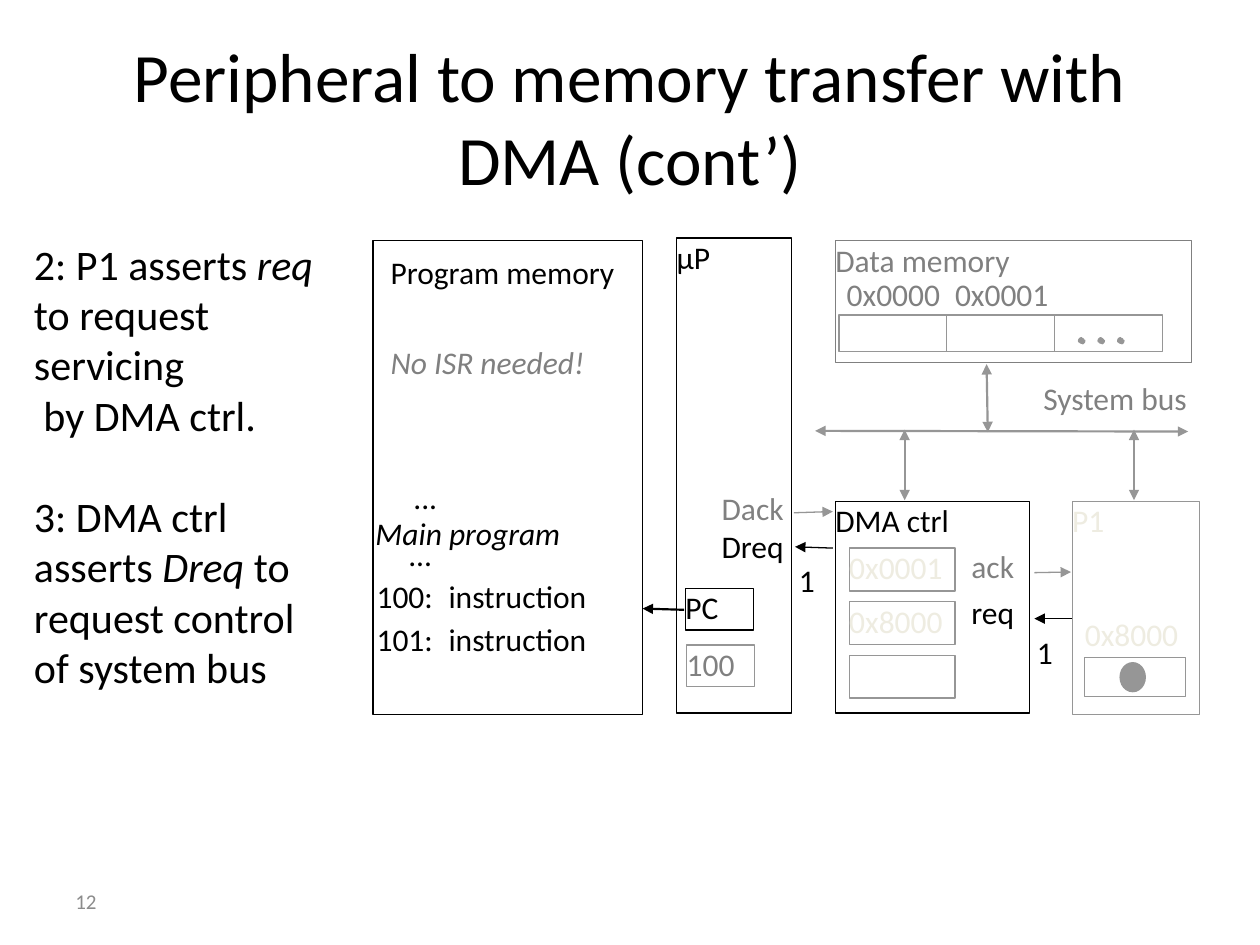
from typing import NamedTuple, Optional

from lxml.etree import SubElement
from pptx import Presentation
from pptx.dml.color import RGBColor
from pptx.enum.dml import MSO_LINE
from pptx.enum.shapes import MSO_CONNECTOR, MSO_SHAPE
from pptx.enum.text import MSO_ANCHOR as Anchor, PP_ALIGN as Align
from pptx.oxml.ns import qn
from pptx.util import Inches, Pt

COLS, ROWS = 100, 75  # grid cells across and down the slide
INK = {"black": "000000", "gray": "808080", "mid": "969696",
       "pale": "EEECE1", "page": "8C8C8C", "white": "FFFFFF"}

deck = Presentation()
deck.slide_width, deck.slide_height = Inches(10), Inches(7.5)
slide = deck.slides.add_slide(deck.slide_layouts[6])


class Box(NamedTuple):
    x: float
    y: float
    w: float
    h: float
    line: str = "mid"
    fill: Optional[str] = None
    text: str = ""
    ink: str = "gray"
    kind: MSO_SHAPE = MSO_SHAPE.RECTANGLE
    dash: bool = False


class Label(NamedTuple):
    x: float
    y: float
    w: float
    h: float
    text: str
    ink: str = "gray"
    align: Align = Align.LEFT
    slant: bool = False


class Arrow(NamedTuple):
    x1: float
    y1: float
    x2: float
    y2: float
    ink: str = "mid"
    width: float = 0.75
    both: bool = False


def col(n: float) -> int:
    return round(deck.slide_width * n / COLS)


def row(n: float) -> int:
    return round(deck.slide_height * n / ROWS)


def color(name: str) -> RGBColor:
    return RGBColor.from_string(INK[name])


def add_run(para, text: str, ink: str, size: float = 18, slant: bool = False) -> None:
    run = para.add_run()
    run.text = text
    font = run.font
    font.name, font.size, font.italic = "Calibri", Pt(size), slant
    font.color.rgb = color(ink)


def set_frame(frame, inset: float = 0, anchor: Anchor = Anchor.TOP):
    frame.word_wrap = True
    frame.vertical_anchor = anchor
    frame.margin_left = frame.margin_right = Inches(inset)
    frame.margin_top = frame.margin_bottom = Inches(inset / 2)
    return frame


def add_frame(x: float, y: float, w: float, h: float,
              inset: float = 0, anchor: Anchor = Anchor.TOP):
    area = slide.shapes.add_textbox(col(x), row(y), col(w), row(h))
    return set_frame(area.text_frame, inset, anchor)


def draw_box(box: Box) -> None:
    shape = slide.shapes.add_shape(box.kind, col(box.x), row(box.y), col(box.w), row(box.h))
    shape.shadow.inherit = False
    if box.fill:
        shape.fill.solid()
        shape.fill.fore_color.rgb = color(box.fill)
    else:
        shape.fill.background()
    shape.line.color.rgb = color(box.line)
    shape.line.width = Pt(0.75)
    if box.dash:
        shape.line.dash_style = MSO_LINE.DASH
    if box.text:
        para = set_frame(shape.text_frame).paragraphs[0]
        para.alignment = Align.LEFT
        add_run(para, box.text, box.ink)


def draw_label(label: Label) -> None:
    para = add_frame(label.x, label.y, label.w, label.h).paragraphs[0]
    para.alignment = label.align
    add_run(para, label.text, label.ink, slant=label.slant)


def draw_arrow(arrow: Arrow) -> None:
    link = slide.shapes.add_connector(MSO_CONNECTOR.STRAIGHT, col(arrow.x1), row(arrow.y1),
                                      col(arrow.x2), row(arrow.y2))
    link.line.color.rgb = color(arrow.ink)
    link.line.width = Pt(arrow.width)
    stroke = link.line._get_or_add_ln()
    for end in ("headEnd", "tailEnd") if arrow.both else ("tailEnd",):
        SubElement(stroke, qn(f"a:{end}"), type="triangle")
    SubElement(link._element.spPr, qn("a:effectLst"))


OVAL = MSO_SHAPE.OVAL
REGS = ("0x0001", "0x8000", "")

boxes = [
    Box(66.3, 19.1, 28.3, 9.7, "gray", text="Data memory"),
    Box(53.7, 18.9, 9.1, 37.7, "black", "white", "μP", "black"),
    Box(29.6, 19.1, 21.4, 37.6, "black", "white"),
    Box(66.3, 39.8, 15.4, 16.8, "black", "white", "DMA ctrl", "black"),
    Box(85.1, 39.8, 10.1, 16.9, text="P1", ink="pale"),
    Box(86.1, 52.2, 8, 3.1, fill="white"),
    Box(88.9, 52.6, 2, 2.3, fill="mid", kind=OVAL),
    Box(54.4, 46.7, 5.4, 3.3, "black", "white", "PC", "black"),
    Box(54.5, 51.2, 5.4, 3.3, "mid", "white", "100"),
]
boxes += [Box(66.6 + 8.55 * i, 25, 8.55, 2.9) for i in range(3)]
boxes += [Box(85.6 + 1.55 * i, 26.8, 0.5, 0.5, fill="mid", kind=OVAL, dash=True)
          for i in range(3)]
boxes += [Box(67.4, 43.5 + 4.25 * i, 8.4, 3.4, text=text, ink="pale")
          for i, text in enumerate(REGS)]

labels = [
    Label(82.8, 30.1, 12.8, 4.7, "System bus"),
    Label(67.2, 21.8, 8.2, 2.9, "0x0000"),
    Label(75.8, 21.8, 8.7, 2.9, "0x0001"),
    Label(31, 20.1, 19.7, 3.8, "Program memory", "black"),
    Label(31, 27.2, 18.5, 3.3, "No ISR needed!", slant=True),
    Label(31, 37.9, 3.7, 3, "...", "black", Align.RIGHT),
    Label(29.8, 40.8, 16.8, 3.6, "Main program", "black", slant=True),
    Label(30.7, 42.5, 3.6, 3, "...", "black", Align.RIGHT),
    Label(56.1, 38.8, 6.1, 3.8, "Dack", align=Align.RIGHT),
    Label(56.1, 41.8, 6.1, 3.8, "Dreq", "black", Align.RIGHT),
    Label(77.1, 43.4, 4.4, 3.9, "ack"),
    Label(77.1, 47.1, 4.4, 3.9, "req", "black"),
    Label(63.4, 44.5, 2.9, 2.9, "1", "black"),
    Label(82.3, 50.2, 2.9, 2.9, "1", "black"),
    Label(86.1, 48.8, 8.5, 3, "0x8000", "pale"),
]
for y, step in ((45.8, "100:"), (49.2, "101:")):
    labels += [Label(28.3, y, 6.05, 3.1, step, "black", Align.RIGHT),
               Label(35.6, y, 12.9, 3.1, "instruction", "black")]

arrows = [
    Arrow(64.7, 34.2, 94.3, 34.25, width=1.25, both=True),
    Arrow(71.8, 34.1, 71.8, 39.7, width=1.25, both=True),
    Arrow(90, 34.1, 90, 39.7, width=1.25, both=True),
    Arrow(78.3, 28.9, 78.4, 34.3, width=1.25, both=True),
    Arrow(54.3, 48.4, 51, 48.3, "black", 1.25),
    Arrow(63, 40.7, 66.1, 40.6),
    Arrow(66.1, 43.5, 63.1, 43.4, "black"),
    Arrow(82.1, 45.45, 85, 45.4),
    Arrow(85.1, 49.1, 82.1, 49.1, "black"),
]

notes = [
    [("2: P1 asserts ", False), ("req", True), (" to request servicing", False)],
    [(" by DMA ctrl.", False)],
    [("3: DMA ctrl asserts ", False), ("Dreq", True),
     (" to request control of system bus", False)],
]

head = add_frame(5, 3, 90, 12.5, 0.1, Anchor.MIDDLE).paragraphs[0]
head.alignment = Align.CENTER
add_run(head, "Peripheral to memory transfer with DMA (cont’)", "black", 39.6)

page = add_frame(5, 69.5, 23.3, 4, 0.1, Anchor.MIDDLE).paragraphs[0]
add_run(page, "12", "page", 12)

side = add_frame(2.7, 18.9, 24, 34.4)
for i, parts in enumerate(notes):
    para = side.paragraphs[0] if i == 0 else side.add_paragraph()
    if i == 2:
        para.space_before = Pt(29)
    for text, slant in parts:
        add_run(para, text, "black", 24, slant)

for box in boxes:
    draw_box(box)
for label in labels:
    draw_label(label)
for arrow in arrows:
    draw_arrow(arrow)

deck.save("out.pptx")
